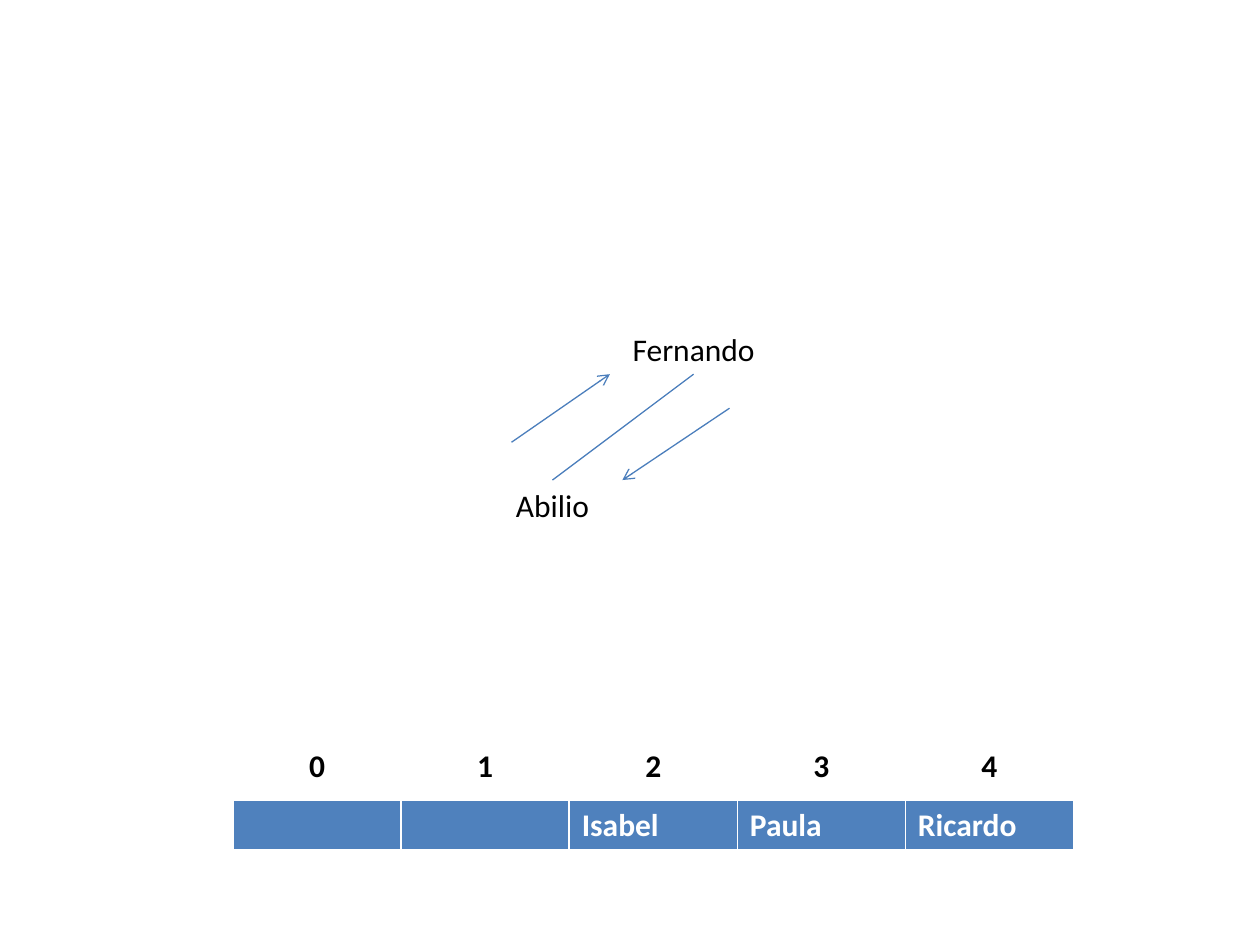
from lxml import etree
from pptx import Presentation
from pptx.dml.color import RGBColor
from pptx.enum.shapes import MSO_CONNECTOR
from pptx.enum.text import MSO_AUTO_SIZE, PP_ALIGN
from pptx.oxml.ns import qn
from pptx.util import Inches, Pt

STRAIGHT = MSO_CONNECTOR.STRAIGHT
CENTER, LEFT = PP_ALIGN.CENTER, PP_ALIGN.LEFT
FIT_SHAPE = MSO_AUTO_SIZE.SHAPE_TO_FIT_TEXT

BLACK = RGBColor(0x00, 0x00, 0x00)
WHITE = RGBColor(0xFF, 0xFF, 0xFF)
BLUE = RGBColor(0x4F, 0x81, 0xBD)
LINE_BLUE = RGBColor(0x4B, 0x7E, 0xBC)
FONT = "Calibri"
TEXT_SIZE = Pt(18)
BLANK_LAYOUT = 6

LABEL_WIDTH, LABEL_HEIGHT = 1.81, 0.4
TABLE_WIDTH, ROW_HEIGHT = 6.67, 0.41
BORDER_POINTS = {"a:lnL": 1, "a:lnR": 1, "a:lnT": 1, "a:lnB": 3}


def add_text(paragraph, text, color, alignment, bold=False):
    paragraph.alignment = alignment
    run = paragraph.add_run()
    run.text = text
    run.font.name = FONT
    run.font.size = TEXT_SIZE
    run.font.bold = bold
    run.font.color.rgb = color


def add_label(slide, left, top, text):
    label = slide.shapes.add_textbox(
        Inches(left), Inches(top), Inches(LABEL_WIDTH), Inches(LABEL_HEIGHT))
    label.text_frame.word_wrap = True
    label.text_frame.auto_size = FIT_SHAPE
    add_text(label.text_frame.paragraphs[0], text, BLACK, CENTER)


def add_line(slide, start, end, arrow=False):
    points = [Inches(value) for value in (*start, *end)]
    connector = slide.shapes.add_connector(STRAIGHT, *points)
    connector.line.color.rgb = LINE_BLUE
    connector.line.width = Pt(0.75)
    if arrow:
        etree.SubElement(connector.line._get_or_add_ln(), qn("a:tailEnd"), type="arrow")
    etree.SubElement(connector._element.spPr, qn("a:effectLst"))


def add_borders(cell):
    properties = cell._tc.get_or_add_tcPr()
    for position, (side, points) in enumerate(BORDER_POINTS.items()):
        border = etree.Element(qn(side), w=str(Pt(points)))
        fill = etree.SubElement(border, qn("a:solidFill"))
        etree.SubElement(fill, qn("a:srgbClr"), val=str(WHITE))
        properties.insert(position, border)


def add_row_table(slide, left, top, values, fill_color, text_color, alignment):
    table = slide.shapes.add_table(
        1, len(values), Inches(left), Inches(top),
        Inches(TABLE_WIDTH), Inches(ROW_HEIGHT)).table
    for cell, value in zip(table.rows[0].cells, values):
        cell.fill.solid()
        cell.fill.fore_color.rgb = fill_color
        add_borders(cell)
        if value:
            add_text(cell.text_frame.paragraphs[0], value, text_color, alignment, True)


def add_tree(slide, left, top):
    """Parent and child nodes, the edge between them and the walk arrows."""
    parent_left, child_top = left + 1.12, top + 1.24
    parent_bottom = top + LABEL_HEIGHT
    add_label(slide, parent_left, top, "Fernando")
    add_label(slide, left, child_top, "Abilio")
    # Edge joins the label centres
    add_line(slide, (parent_left + LABEL_WIDTH / 2, parent_bottom),
             (left + LABEL_WIDTH / 2, child_top))
    # Walk up and walk down
    add_line(slide, (left + 0.58, top + 0.94), (left + 1.36, parent_bottom), True)
    add_line(slide, (left + 2.31, top + 0.67), (left + 1.46, child_top), True)


def add_array(slide, left, top):
    """Index row above the row of stored names."""
    names = ["", "", "Isabel", "Paula", "Ricardo"]
    indexes = [str(index) for index in range(len(names))]
    add_row_table(slide, left, top + 0.47, names, BLUE, WHITE, LEFT)
    add_row_table(slide, left, top, indexes, WHITE, BLACK, CENTER)


presentation = Presentation()
presentation.slide_width = Inches(10)
presentation.slide_height = Inches(7.5)
slide = presentation.slides.add_slide(presentation.slide_layouts[BLANK_LAYOUT])
add_tree(slide, 3.48, 2.57)
add_array(slide, 1.85, 5.88)
presentation.save("out.pptx")
